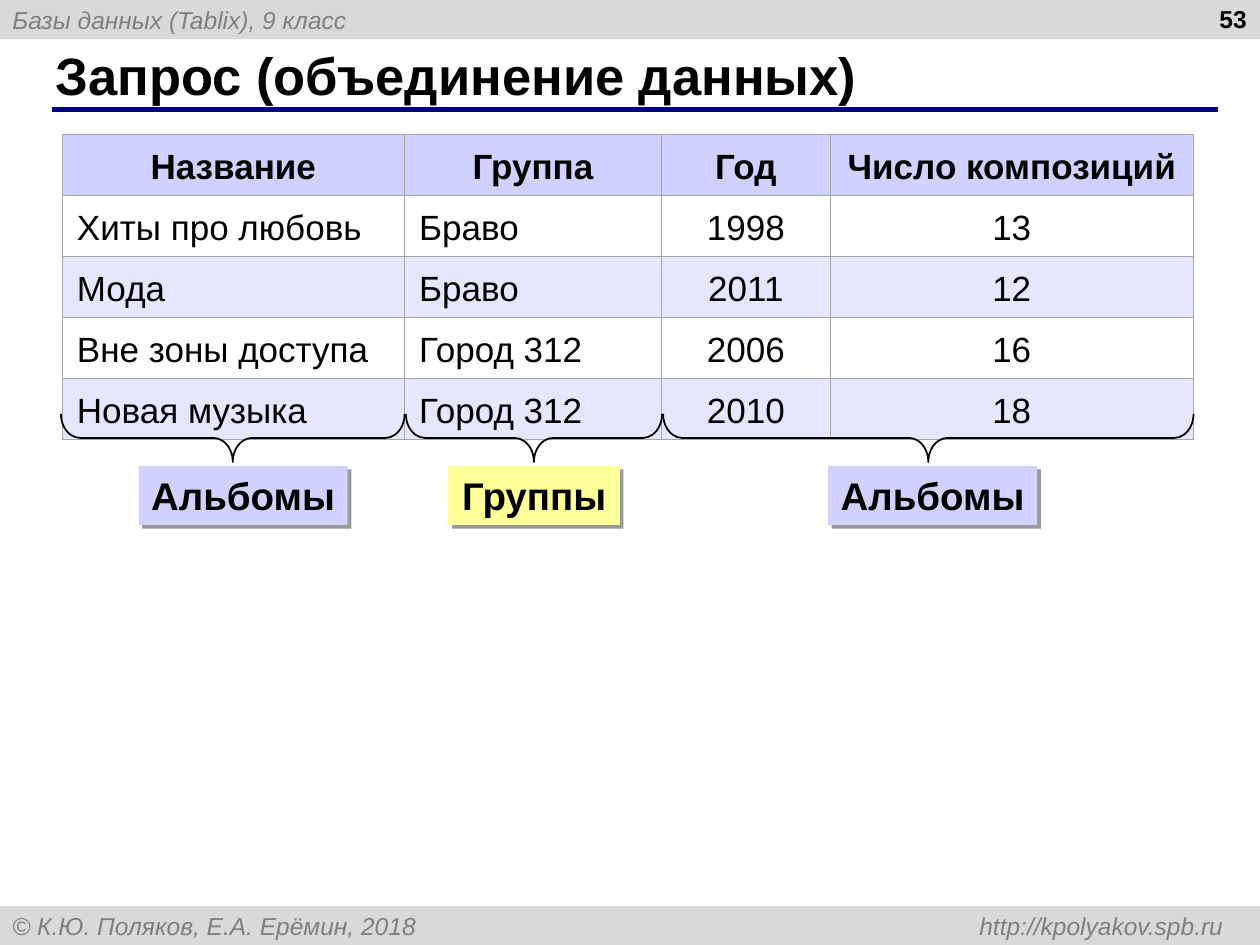
"""Build a slide that shows which tables the columns of a query come from."""
from dataclasses import dataclass

from lxml.etree import SubElement
from pptx import Presentation
from pptx.dml.color import RGBColor
from pptx.enum.shapes import MSO_CONNECTOR, MSO_SHAPE
from pptx.enum.text import MSO_ANCHOR, MSO_AUTO_SIZE, PP_ALIGN
from pptx.oxml.ns import qn
from pptx.util import Pt

BLACK = RGBColor(0x00, 0x00, 0x00)
GRAY_TEXT = RGBColor(0x7F, 0x7F, 0x7F)
GRAY_BAR = RGBColor(0xD9, 0xD9, 0xD9)
NAVY = RGBColor(0x00, 0x00, 0x80)
LILAC = RGBColor(0xD1, 0xD1, 0xFF)
PALE_LILAC = RGBColor(0xE6, 0xE6, 0xFF)
YELLOW = RGBColor(0xFF, 0xFF, 0x99)
BORDER = RGBColor(0xA6, 0xA6, 0xA6)

SLIDE_WIDTH, SLIDE_HEIGHT = 720, 540
BAR_HEIGHT = 22.4
FOOTER_TAB = 692
TABLE_LEFT, TABLE_TOP = 35.5, 76.6
COLUMN_WIDTHS = (195.6, 146.9, 96.5, 207.4)
ROW_HEIGHT = 31.5
BRACE_TOP, BRACE_DEPTH = 236.5, 27.5
LABEL_TOP, LABEL_HEIGHT = 266.2, 33.8

ALBUMS = (
    ("Название", "Группа", "Год", "Число композиций"),
    ("Хиты про любовь", "Браво", "1998", "13"),
    ("Мода", "Браво", "2011", "12"),
    ("Вне зоны доступа", "Город 312", "2006", "16"),
    ("Новая музыка", "Город 312", "2010", "18"),
)


@dataclass(frozen=True)
class SourceTable:
    name: str
    brace_left: float
    brace_span: float
    label_left: float
    label_width: float
    color: RGBColor


SOURCE_TABLES = (
    SourceTable("Альбомы", 34.8, 196.4, 79.2, 119.5, LILAC),
    SourceTable("Альбомы", 378.9, 303.1, 473.2, 119.5, LILAC),
    SourceTable("Группы", 231.9, 146.4, 256.3, 97.9, YELLOW),
)


def write_text(text_frame, text: str, *, size: float, color: RGBColor = BLACK,
               bold: bool = False, italic: bool = False, alignment=PP_ALIGN.LEFT,
               line_spacing: float = 1.0, tab: float | None = None) -> None:
    paragraph = text_frame.paragraphs[0]
    paragraph.alignment = alignment
    paragraph.line_spacing = line_spacing
    if tab is not None:
        tab_list = SubElement(paragraph._p.get_or_add_pPr(), qn("a:tabLst"))
        SubElement(tab_list, qn("a:tab"), pos=str(Pt(tab)), algn="r")
    run = paragraph.add_run()
    run.text = text
    run.font.name = "Arial"
    run.font.size = Pt(size)
    run.font.color.rgb = color
    run.font.bold = bold
    run.font.italic = italic


def add_box(slide, left: float, top: float, width: float, height: float, color: RGBColor):
    shape = slide.shapes.add_shape(
        MSO_SHAPE.RECTANGLE, Pt(left), Pt(top), Pt(width), Pt(height))
    shape.fill.solid()
    shape.fill.fore_color.rgb = color
    shape.line.fill.background()
    shape.shadow.inherit = False
    return shape


def add_bar(slide, top: float, text: str, tab: float | None = None) -> None:
    bar = add_box(slide, 0, top, SLIDE_WIDTH, BAR_HEIGHT, GRAY_BAR)
    bar.text_frame.vertical_anchor = MSO_ANCHOR.MIDDLE
    write_text(bar.text_frame, text, size=14, color=GRAY_TEXT, italic=True, tab=tab)


def add_title(slide, text: str) -> None:
    title = slide.shapes.title
    title.left, title.top, title.width, title.height = Pt(24.5), Pt(23.8), Pt(659.5), Pt(37.4)
    title.text_frame.auto_size = MSO_AUTO_SIZE.NONE
    title.text_frame.vertical_anchor = MSO_ANCHOR.MIDDLE
    write_text(title.text_frame, text, size=30, bold=True)
    rule = slide.shapes.add_connector(
        MSO_CONNECTOR.STRAIGHT, Pt(29.5), Pt(62.5), Pt(696), Pt(62.5))
    rule.line.color.rgb = NAVY
    rule.line.width = Pt(3)
    SubElement(rule._element.spPr, qn("a:effectLst"))


def add_slide_number(slide, number: str) -> None:
    box = slide.shapes.add_textbox(Pt(551.5), Pt(-1.4), Pt(168), Pt(37.4))
    box.text_frame.word_wrap = True
    write_text(box.text_frame, number, size=14, bold=True, alignment=PP_ALIGN.RIGHT)


def add_cell_borders(cell) -> None:
    properties = cell._tc.get_or_add_tcPr()
    for side in ("a:lnL", "a:lnR", "a:lnT", "a:lnB"):
        line = SubElement(properties, qn(side), w=str(Pt(0.45)))
        fill = SubElement(line, qn("a:solidFill"))
        SubElement(fill, qn("a:srgbClr"), val=str(BORDER))


def format_cell(cell, text: str, row: int, column: int) -> None:
    is_header = row == 0
    add_cell_borders(cell)
    if row % 2:
        cell.fill.background()
    else:
        cell.fill.solid()
        cell.fill.fore_color.rgb = LILAC if is_header else PALE_LILAC
    cell.vertical_anchor = MSO_ANCHOR.MIDDLE
    cell.margin_left = cell.margin_right = Pt(8.5)
    centered = is_header or column >= 2
    write_text(cell.text_frame, text, size=20, bold=is_header, line_spacing=1.15,
               alignment=PP_ALIGN.CENTER if centered else PP_ALIGN.LEFT)


def add_album_table(slide) -> None:
    table = slide.shapes.add_table(
        len(ALBUMS), len(COLUMN_WIDTHS), Pt(TABLE_LEFT), Pt(TABLE_TOP),
        Pt(sum(COLUMN_WIDTHS)), Pt(ROW_HEIGHT * len(ALBUMS))).table
    table.first_row = table.horz_banding = False
    for column, width in zip(table.columns, COLUMN_WIDTHS):
        column.width = Pt(width)
    for row, values in enumerate(ALBUMS):
        table.rows[row].height = Pt(ROW_HEIGHT)
        for column, value in enumerate(values):
            format_cell(table.cell(row, column), value, row, column)


def add_brace(slide, source: SourceTable) -> None:
    left = source.brace_left + (source.brace_span - BRACE_DEPTH) / 2
    top = BRACE_TOP + (BRACE_DEPTH - source.brace_span) / 2
    brace = slide.shapes.add_shape(
        MSO_SHAPE.LEFT_BRACE, Pt(left), Pt(top), Pt(BRACE_DEPTH), Pt(source.brace_span))
    brace.rotation = 270
    brace.adjustments[0] = 0.4
    brace.fill.background()
    brace.line.color.rgb = BLACK
    brace.line.width = Pt(1)
    brace.shadow.inherit = False


def add_label(slide, source: SourceTable) -> None:
    label = add_box(slide, source.label_left, LABEL_TOP, source.label_width,
                    LABEL_HEIGHT, source.color)
    effects = label._element.spPr.find(qn("a:effectLst"))
    shadow = SubElement(effects, qn("a:outerShdw"), blurRad="0", dist=str(Pt(3)),
                        dir="2700000", algn="tl", rotWithShape="0")
    color = SubElement(shadow, qn("a:srgbClr"), val=str(BLACK))
    SubElement(color, qn("a:alpha"), val="40000")
    label.text_frame.word_wrap = False
    label.text_frame.auto_size = MSO_AUTO_SIZE.SHAPE_TO_FIT_TEXT
    label.text_frame.vertical_anchor = MSO_ANCHOR.TOP
    write_text(label.text_frame, source.name, size=22, bold=True, alignment=PP_ALIGN.CENTER)


def main() -> None:
    presentation = Presentation()
    presentation.slide_width, presentation.slide_height = Pt(SLIDE_WIDTH), Pt(SLIDE_HEIGHT)
    slide = presentation.slides.add_slide(presentation.slide_layouts[5])
    add_bar(slide, 0, "Базы данных (Tablix), 9 класс")
    add_bar(slide, SLIDE_HEIGHT - BAR_HEIGHT,
            "© К.Ю. Поляков, Е.А. Ерёмин, 2018\thttp://kpolyakov.spb.ru", tab=FOOTER_TAB)
    add_title(slide, "Запрос (объединение данных)")
    add_slide_number(slide, "53")
    add_album_table(slide)
    for source in SOURCE_TABLES:
        add_brace(slide, source)
        add_label(slide, source)
    presentation.save("out.pptx")


if __name__ == "__main__":
    main()
